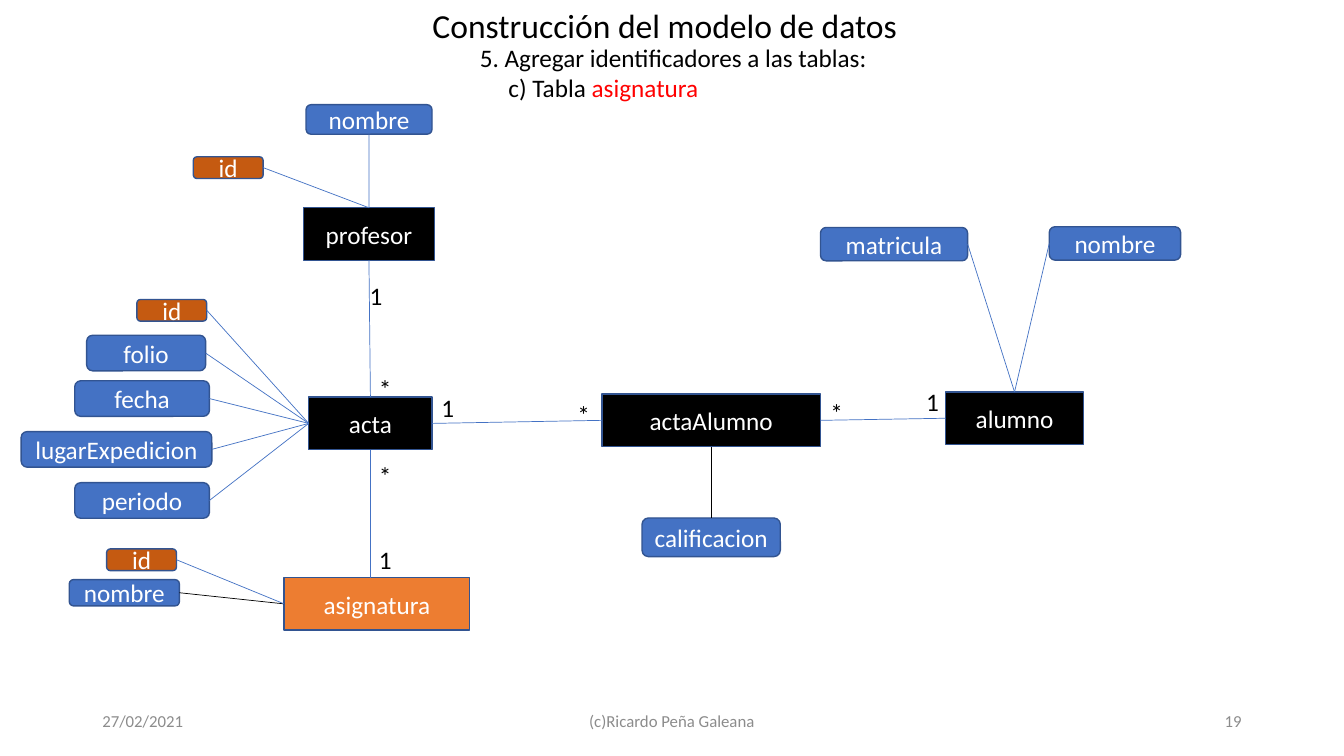
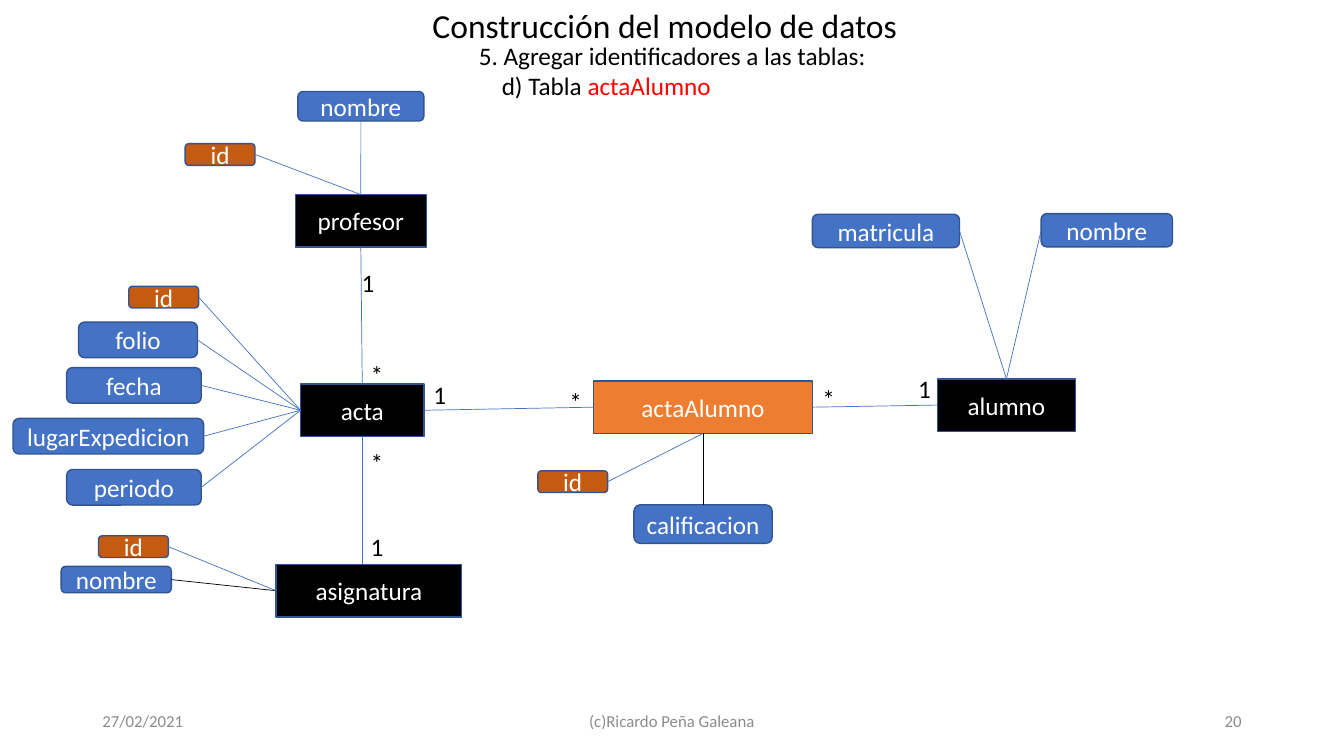
"""Build two slides of an entity diagram that gains identifiers table by table."""
from dataclasses import dataclass
from typing import Any

from lxml.etree import SubElement
from pptx import Presentation
from pptx.dml.color import RGBColor
from pptx.enum.shapes import MSO_CONNECTOR, MSO_SHAPE
from pptx.enum.text import MSO_ANCHOR, MSO_AUTO_SIZE, PP_ALIGN
from pptx.oxml.ns import qn
from pptx.util import Pt

BLACK, WHITE, GRAY, RED = "000000", "FFFFFF", "8C8C8C", "FF0000"
BLUE, NAVY, ORANGE, RUST = "4472C4", "325491", "ED7D31", "C55A11"
FONT = "Calibri"
TOP, LEFT, BOTTOM, RIGHT = range(4)
FRAME = {"word_wrap": True, "auto_size": MSO_AUTO_SIZE.NONE}
TIGHT = {"space_before": Pt(0), "space_after": Pt(0), "line_spacing": 1.0}
HIGH, MIDDLE = MSO_ANCHOR.TOP, MSO_ANCHOR.MIDDLE


@dataclass(frozen=True)
class Node:
    """A table or one of its fields."""
    key: str
    text: str
    left: float
    top: float
    width: float
    height: float
    fill: str
    form: Any = MSO_SHAPE.ROUNDED_RECTANGLE


@dataclass(frozen=True)
class Link:
    """A line between the sides of two nodes."""
    start: str
    out: int
    end: str
    into: int
    ink: str = BLUE
    plumb: bool = False


@dataclass(frozen=True)
class Mark:
    """A cardinality sign beside a line."""
    text: str
    left: float
    top: float


@dataclass(frozen=True)
class Step:
    """What one slide shows on top of the shared model."""
    page: str
    item: str
    table: str
    head: tuple[float, float]
    indent: float
    shift: tuple[float, float] = (0, 0)
    nodes: tuple[Node, ...] = ()
    links: tuple[Link, ...] = ()


def table(name: str, left: float, top: float, width: float) -> Node:
    """Describe a table box."""
    return Node(name, name, left, top, width, 37.5, BLACK, MSO_SHAPE.RECTANGLE)


def field(key: str, left: float, top: float, width: float, height: float) -> Node:
    """Describe a field whose text is the last part of its key."""
    return Node(key, key.split(".")[-1], left, top, width, height, BLUE)


def ident(owner: str, left: float, top: float) -> Node:
    """Describe the identifier of a table."""
    return Node(f"{owner}.id", "id", left, top, 49.9, 15.5, RUST)


NODES = (
    table("acta", 220.5, 283.7, 88.2),
    table("asignatura", 203, 412.6, 132.6),
    table("profesor", 216.7, 148.4, 93.7),
    table("alumno", 675.4, 280, 98.6),
    table("actaAlumno", 429.9, 281.5, 156.2),
    field("folio", 61.9, 239.5, 85, 25.4),
    field("fecha", 53.4, 272, 96.2, 25.4),
    field("lugarExpedicion", 15.1, 308.3, 136.2, 25.4),
    field("periodo", 53.4, 344.8, 96.2, 25.4),
    field("profesor.nombre", 218.6, 74.8, 90, 21.1),
    field("asignatura.nombre", 49.5, 414, 78.7, 18.8),
    field("calificacion", 458.6, 370, 98.8, 27.6),
    field("alumno.nombre", 749.5, 162, 93.8, 23.8),
    field("matricula", 586.1, 162.5, 105.1, 23.8),
    ident("profesor", 138.1, 112),
    ident("acta", 97.8, 213.9),
    ident("asignatura", 76.2, 392.1),
)
LINKS = (
    Link("acta", BOTTOM, "asignatura", TOP, plumb=True),
    Link("profesor", BOTTOM, "acta", TOP),
    Link("acta", RIGHT, "actaAlumno", LEFT),
    Link("actaAlumno", RIGHT, "alumno", LEFT),
    *(Link(key, RIGHT, "acta", LEFT)
      for key in ("acta.id", "folio", "fecha", "lugarExpedicion", "periodo")),
    Link("profesor.nombre", BOTTOM, "profesor", TOP),
    Link("profesor.id", RIGHT, "profesor", TOP),
    Link("asignatura.nombre", RIGHT, "asignatura", LEFT, BLACK),
    Link("asignatura.id", RIGHT, "asignatura", LEFT),
    Link("calificacion", TOP, "actaAlumno", BOTTOM, BLACK),
    Link("matricula", RIGHT, "alumno", TOP),
    Link("alumno.nombre", LEFT, "alumno", TOP),
)
MARKS = (
    Mark("1", 257, 196.6), Mark("*", 263.5, 262.8),
    Mark("*", 263.5, 325.4), Mark("1", 263.5, 385.2),
    Mark("1", 308.2, 276.5), Mark("*", 405.4, 281.5),
    Mark("*", 586.1, 280), Mark("1", 654.5, 272.2),
)
STEPS = (
    Step("19", "c) Tabla ", "asignatura", (335.5, 26.6), 20.5),
    Step("20", "d) Tabla ", "actaAlumno", (334.8, 25.2), 16.4, (-5.8, -9.4),
         (ident("actaAlumno", 390, 345.7),),
         (Link("actaAlumno.id", RIGHT, "actaAlumno", BOTTOM),)),
)


def hue(code: str) -> RGBColor:
    """Turn a hex string into a colour."""
    return RGBColor.from_string(code)


def put(thing: Any, vals: dict[str, Any]) -> None:
    """Set every named value on an object."""
    for name, val in vals.items():
        setattr(thing, name, val)


def place(shape: Any, left: float, top: float, width: float, height: float) -> None:
    """Move and size a shape in points."""
    put(shape, {"left": Pt(left), "top": Pt(top), "width": Pt(width), "height": Pt(height)})


def ink(font: Any, size: float, code: str) -> None:
    """Give a font its face, size and colour."""
    put(font, {"name": FONT, "size": Pt(size), "bold": False})
    font.color.rgb = hue(code)


def write(shape: Any, text: str, size: float, code: str,
          align: Any = PP_ALIGN.LEFT, anchor: Any = MIDDLE) -> None:
    """Fill a shape with one line of text."""
    frame = shape.text_frame
    put(frame, FRAME | {"vertical_anchor": anchor})
    para = frame.paragraphs[0]
    put(para, TIGHT | {"alignment": align})
    run = para.add_run()
    run.text = text
    ink(run.font, size, code)


def label(slide: Any, text: str, spot: tuple[float, float, float, float],
          size: float, code: str, align: Any = PP_ALIGN.LEFT, anchor: Any = MIDDLE) -> None:
    """Add a text box with one line."""
    write(slide.shapes.add_textbox(*map(Pt, spot)), text, size, code, align, anchor)


def header(slide: Any, step: Step) -> None:
    """Fill the title and the list below it."""
    title, body = slide.shapes.title, slide.placeholders[1]
    place(title, 301.7, 0, 356.4, 36)
    write(title, "Construcción del modelo de datos", 24, BLACK, anchor=HIGH)
    place(body, *step.head, 443.5, 51)
    put(body.text_frame, FRAME | {"vertical_anchor": HIGH})
    rows = (
        (0, (("5. Agregar identificadores a las tablas:", BLACK),)),
        (step.indent, ((step.item, BLACK), (step.table, RED))),
    )
    for num, (indent, parts) in enumerate(rows):
        para = body.text_frame.paragraphs[0] if num == 0 else body.text_frame.add_paragraph()
        props = para._p.get_or_add_pPr()
        props.set("marL", str(Pt(indent)))
        props.set("indent", "0")
        SubElement(props, qn("a:buNone"))
        put(para, TIGHT)
        for text, code in parts:
            run = para.add_run()
            run.text = text
            ink(run.font, 18, code)


def footer(slide: Any, page: str) -> None:
    """Add the date, the author and the page number."""
    for text, left, width, align in (
        ("27/02/2021", 66, 216, PP_ALIGN.LEFT),
        ("(c)Ricardo Peña Galeana", 318, 324, PP_ALIGN.CENTER),
        (page, 678, 216, PP_ALIGN.RIGHT),
    ):
        label(slide, text, (left, 500.5, width, 28.8), 12, GRAY, align)


def box(slide: Any, node: Node, step: Step) -> Any:
    """Draw a node, bright if it is the table of the step."""
    move, drop = step.shift
    spot = (node.left + move, node.top + drop, node.width, node.height)
    shape = slide.shapes.add_shape(node.form, *map(Pt, spot))
    shape.shadow.inherit = False
    shape.fill.solid()
    shape.fill.fore_color.rgb = hue(ORANGE if node.key == step.table else node.fill)
    shape.line.color.rgb = hue(NAVY)
    shape.line.width = Pt(1)
    write(shape, node.text, 18, WHITE, PP_ALIGN.CENTER)
    return shape


def join(slide: Any, link: Link, boxes: dict[str, Any]) -> None:
    """Draw a line glued to its nodes."""
    line = slide.shapes.add_connector(MSO_CONNECTOR.STRAIGHT, 0, 0, 0, 0)
    end = boxes[link.end]
    line.begin_connect(boxes[link.start], link.out)
    if link.plumb:
        put(line, {"end_x": line.begin_x, "end_y": end.top})
    else:
        line.end_connect(end, link.into)
    line.line.color.rgb = hue(link.ink)
    line.line.width = Pt(0.5)
    SubElement(line._element.spPr, qn("a:effectLst"))


def draw(deck: Any, step: Step) -> None:
    """Build the slide of one step."""
    slide = deck.slides.add_slide(deck.slide_layouts[1])
    header(slide, step)
    boxes = {node.key: box(slide, node, step) for node in NODES + step.nodes}
    for link in LINKS + step.links:
        join(slide, link, boxes)
    move, drop = step.shift
    for mark in MARKS:
        spot = (mark.left + move, mark.top + drop, 20.2, 29)
        label(slide, mark.text, spot, 18, BLACK, anchor=HIGH)
    footer(slide, step.page)


def main() -> None:
    """Build and save the deck."""
    deck = Presentation()
    put(deck, {"slide_width": Pt(960), "slide_height": Pt(540)})
    for step in STEPS:
        draw(deck, step)
    deck.save("out.pptx")


if __name__ == "__main__":
    main()
